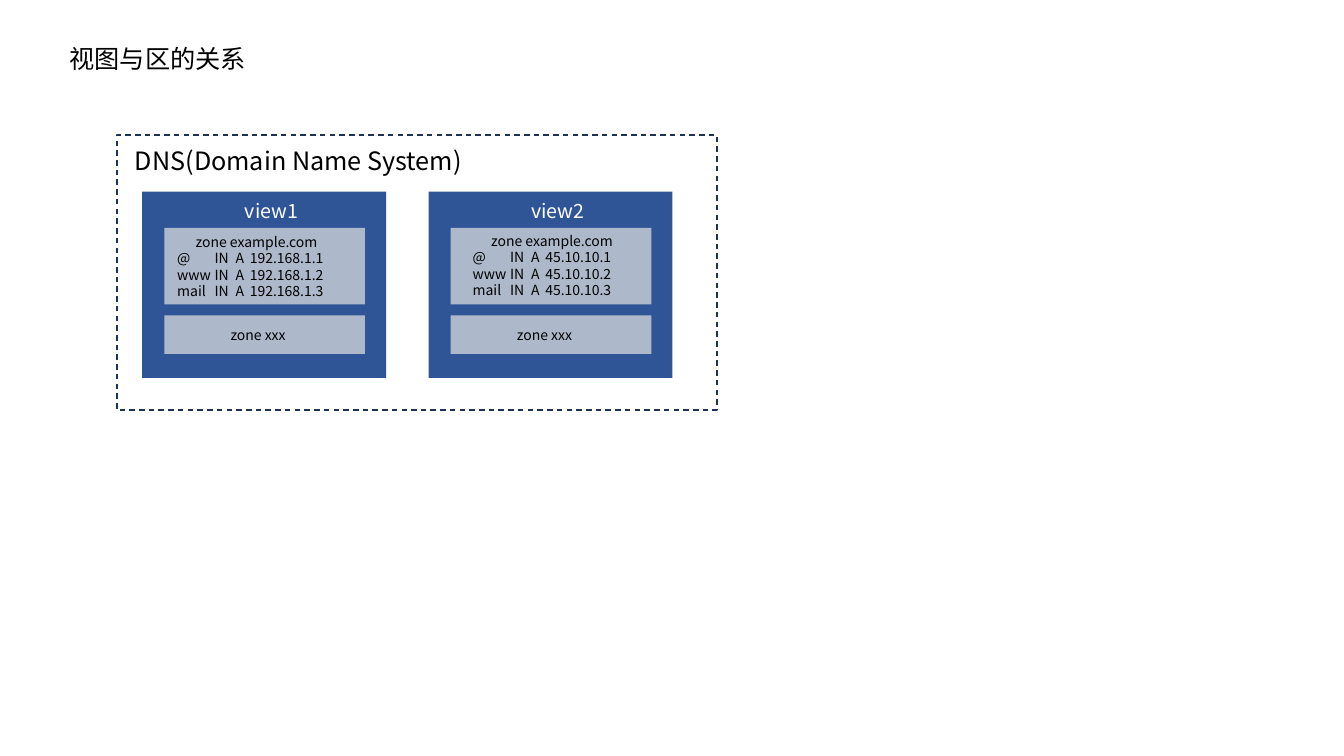
from pptx import Presentation
from pptx.dml.color import RGBColor
from pptx.enum.dml import MSO_LINE
from pptx.enum.shapes import MSO_SHAPE
from pptx.enum.text import MSO_ANCHOR, MSO_AUTO_SIZE, PP_ALIGN
from pptx.oxml.ns import qn
from pptx.util import Inches, Pt
from lxml import etree

RECT = MSO_SHAPE.RECTANGLE
DASH = MSO_LINE.DASH
LEFT, CENTER = PP_ALIGN.LEFT, PP_ALIGN.CENTER
TOP = MSO_ANCHOR.TOP
NO_FIT = MSO_AUTO_SIZE.NONE
TITLE_ONLY = 5


def color(hex_code):
    return RGBColor.from_string(hex_code)


class Board:
    FONT = "Noto Sans CJK SC"
    BLACK, WHITE = "000000", "FFFFFF"
    VIEW, ZONE, FRAME = "2F5597", "ADB9CA", "1E3256"
    RECORD_TABS = (0.37, 0.58, 0.72)

    def __init__(self, slide):
        self.slide = slide

    def box(self, place, fill=None, border=None):
        rect = self.slide.shapes.add_shape(RECT, *map(Inches, place))
        rect.shadow.inherit = False
        if fill:
            rect.fill.solid()
            rect.fill.fore_color.rgb = color(fill)
        else:
            rect.fill.background()
        if border:
            rect.line.color.rgb = color(border)
            rect.line.width = Pt(1)
            rect.line.dash_style = DASH
        else:
            rect.line.fill.background()

    def fill_text(self, frame, lines, size, ink=BLACK, first_align=LEFT):
        frame_format = {"word_wrap": True, "auto_size": NO_FIT, "vertical_anchor": TOP}
        for name, value in frame_format.items():
            setattr(frame, name, value)
        for i, line in enumerate(lines):
            paragraph = frame.add_paragraph() if i else frame.paragraphs[0]
            paragraph.alignment = LEFT if i else first_align
            paragraph.line_spacing = Pt(size * 1.18)
            if "\t" in line:
                self.tab_stops(paragraph)
            run = paragraph.add_run()
            run.text = line
            for name, value in {"name": self.FONT, "size": Pt(size), "bold": False}.items():
                setattr(run.font, name, value)
            run.font.color.rgb = color(ink)
            east_asian = etree.SubElement(run.font._element, qn("a:ea"))
            east_asian.set("typeface", self.FONT)

    def tab_stops(self, paragraph):
        stops = etree.SubElement(paragraph._p.get_or_add_pPr(), qn("a:tabLst"))
        for position in self.RECORD_TABS:
            etree.SubElement(stops, qn("a:tab"), pos=str(Inches(position)), algn="l")

    def title(self, place, text):
        heading = self.slide.shapes.title
        for name, value in zip(("left", "top", "width", "height"), place):
            setattr(heading, name, Inches(value))
        self.fill_text(heading.text_frame, [text], 18)

    def label(self, place, lines, size, **style):
        area = self.slide.shapes.add_textbox(*map(Inches, place))
        self.fill_text(area.text_frame, lines, size, **style)

    def view(self, left, name, network, record_left, record_top):
        self.box((left, 1.9, 2.42, 1.85), self.VIEW)
        self.label((left + 0.92, 1.93, 1.03, 0.34), [name], 14, ink=self.WHITE)
        # Zone with its address records
        self.box((left + 0.22, 2.26, 1.99, 0.76), self.ZONE)
        records = [f"{host}\tIN\tA\t{network}.{number}"
                   for number, host in enumerate(("@", "www", "mail"), 1)]
        self.label((record_left, record_top, 1.8, 0.77),
                   ["zone example.com ", *records], 10, first_align=CENTER)
        # Further zone
        self.box((left + 0.22, 3.13, 1.99, 0.38), self.ZONE)
        self.label((left + 0.25, 3.19, 1.8, 0.27), ["zone xxx"], 10, first_align=CENTER)


def main():
    deck = Presentation()
    deck.slide_width, deck.slide_height = Inches(13.33), Inches(7.5)
    board = Board(deck.slides.add_slide(deck.slide_layouts[TITLE_ONLY]))

    # Heading
    board.title((0.59, 0.38, 2.57, 0.4), "视图与区的关系")

    # DNS server
    board.box((1.16, 1.34, 5.95, 2.73), border=board.FRAME)
    board.label((1.24, 1.4, 3.61, 0.4), ["DNS(Domain Name System)"], 18)

    # Views
    board.view(1.41, "view1", "192.168.1", 1.66, 2.27)
    board.view(4.25, "view2", "45.10.10", 4.59, 2.26)

    deck.save("out.pptx")


if __name__ == "__main__":
    main()
